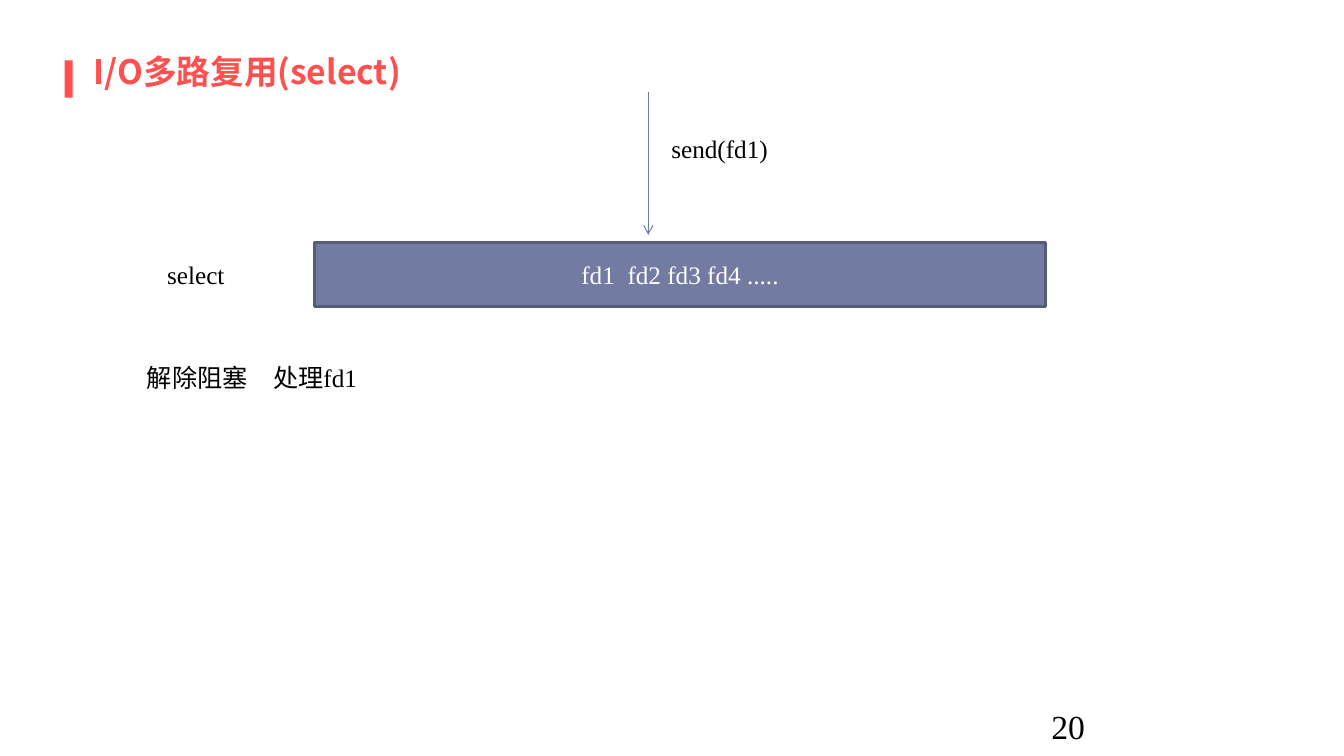
from dataclasses import dataclass

from lxml import etree
from pptx import Presentation
from pptx.dml.color import RGBColor
from pptx.enum.shapes import MSO_CONNECTOR, MSO_SHAPE
from pptx.enum.text import MSO_ANCHOR, PP_ALIGN
from pptx.oxml.ns import qn
from pptx.util import Pt

PX = 9144  # EMU per px, 100 px to the inch
RECT = MSO_SHAPE.RECTANGLE
STRAIGHT = MSO_CONNECTOR.STRAIGHT
TOP, MIDDLE = MSO_ANCHOR.TOP, MSO_ANCHOR.MIDDLE
LEFT, CENTER = PP_ALIGN.LEFT, PP_ALIGN.CENTER

SERIF = "Times New Roman"
SANS = "Noto Sans CJK SC"
COLORS = {
    "red": "FF5050",
    "black": "000000",
    "white": "FFFFFF",
    "slate": "727CA3",
    "edge": "545C79",
    "arrow": "6E79A1",
}


@dataclass
class Box:
    left: int
    top: int
    width: int
    height: int

    def emu(self) -> tuple[int, ...]:
        return tuple(n * PX for n in (self.left, self.top, self.width, self.height))


@dataclass
class Label:
    box: Box
    text: str
    size: int = 18
    font: str = SERIF
    color: str = "black"
    bold: bool = False
    inset: int = 5


@dataclass
class Bar:
    box: Box
    fill: str
    edge: str = ""


TITLE = Label(Box(83, 51, 1168, 46), "I/O多路复用(select)", 24, SANS, "red", True, 0)
LABELS = [
    TITLE,
    Label(Box(1033, 695, 300, 40), "20", 24),
    Label(Box(156, 252, 143, 40), "select"),
    Label(Box(656, 127, 182, 40), "send(fd1)"),
    Label(Box(136, 355, 293, 40), "解除阻塞　处理fd1"),
]
ACCENT = Bar(Box(64, 60, 8, 37), "red")
QUEUE = Bar(Box(312, 241, 725, 63), "slate", "edge")
QUEUE_TEXT = Label(QUEUE.box, "fd1  fd2 fd3 fd4 .....", color="white")


def rgb(name: str) -> RGBColor:
    return RGBColor.from_string(COLORS[name])


def write(shape, label: Label, align=LEFT, anchor=TOP) -> None:
    frame = shape.text_frame
    frame.word_wrap = True
    frame.vertical_anchor = anchor
    frame.margin_top = frame.margin_bottom = label.inset * PX
    frame.text = label.text
    line = frame.paragraphs[0]
    line.alignment = align
    for run in line.runs:
        font = run.font
        font.name, font.size, font.bold = label.font, Pt(label.size), label.bold
        font.color.rgb = rgb(label.color)
        asian = etree.SubElement(run._r.get_or_add_rPr(), qn("a:ea"))
        asian.set("typeface", SANS)


def add_label(slide, label: Label) -> None:
    write(slide.shapes.add_textbox(*label.box.emu()), label)


def add_bar(slide, bar: Bar):
    shape = slide.shapes.add_shape(RECT, *bar.box.emu())
    shape.shadow.inherit = False
    shape.fill.solid()
    shape.fill.fore_color.rgb = rgb(bar.fill)
    if bar.edge:
        shape.line.color.rgb = rgb(bar.edge)
        shape.line.width = Pt(2)
    else:
        shape.line.fill.background()
    return shape


def add_arrow(slide, x: int, top: int, end: int) -> None:
    """Draw a thin arrow straight down."""
    arrow = slide.shapes.add_connector(STRAIGHT, x * PX, top * PX, x * PX, end * PX)
    arrow.line.color.rgb = rgb("arrow")
    arrow.line.width = Pt(0.75)
    etree.SubElement(arrow.line._get_or_add_ln(), qn("a:tailEnd")).set("type", "arrow")
    etree.SubElement(arrow._element.spPr, qn("a:effectLst"))


def main() -> None:
    deck = Presentation()
    deck.slide_width, deck.slide_height = 1333 * PX, 750 * PX
    slide = deck.slides.add_slide(deck.slide_layouts[6])
    add_bar(slide, ACCENT)
    write(add_bar(slide, QUEUE), QUEUE_TEXT, CENTER, MIDDLE)
    add_arrow(slide, 643, 91, 233)
    for label in LABELS:
        add_label(slide, label)
    deck.save("out.pptx")


if __name__ == "__main__":
    main()
